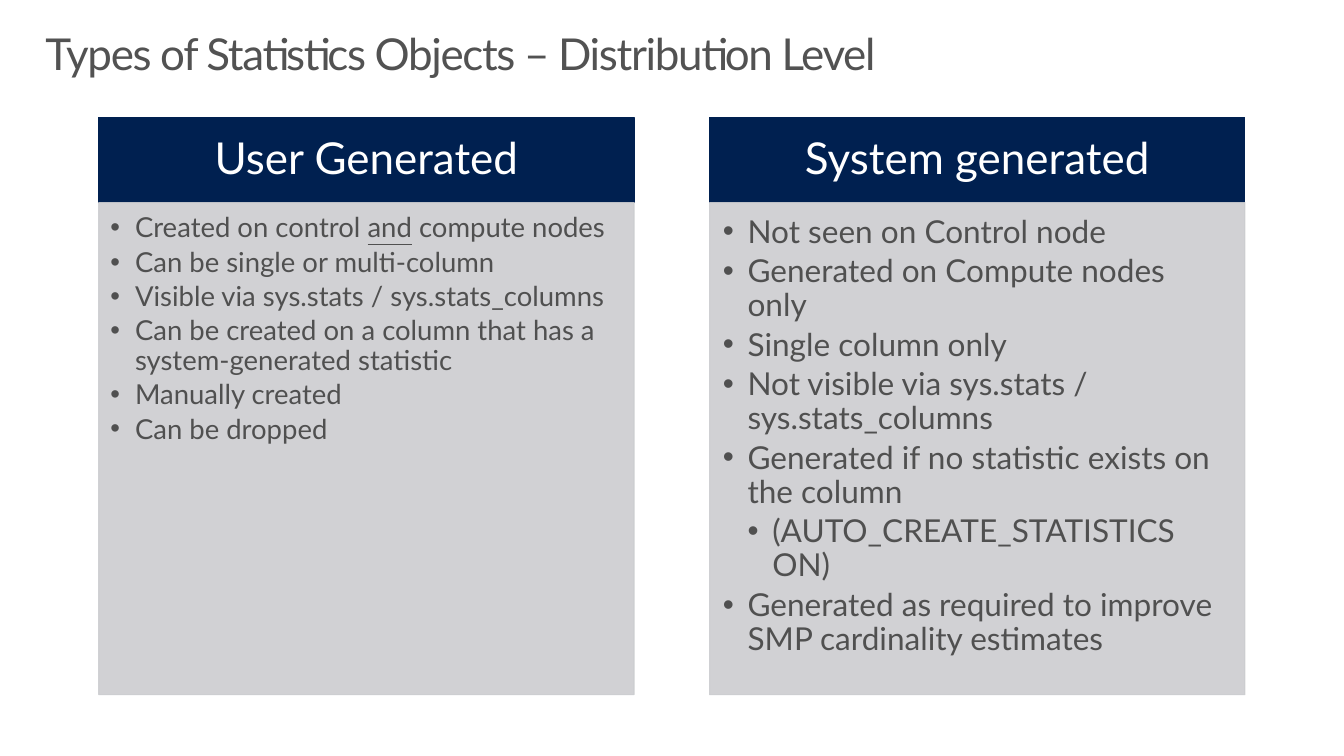
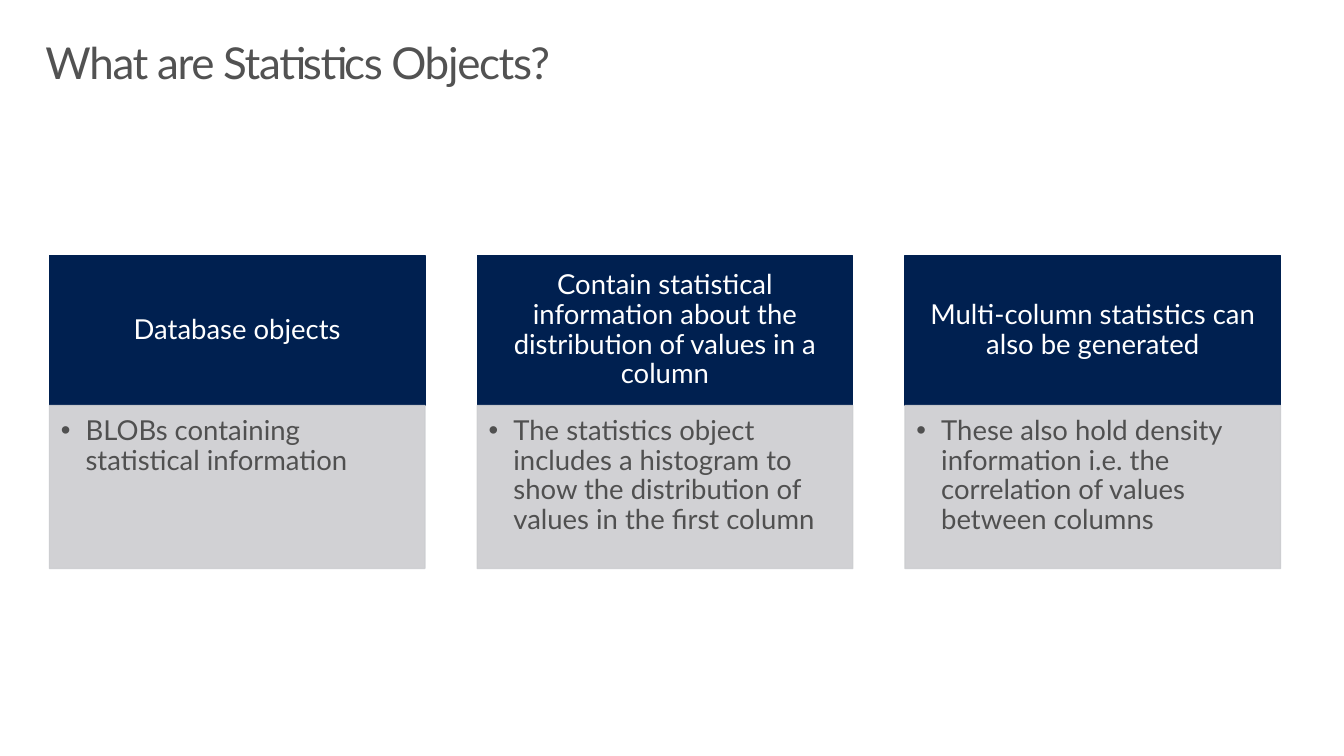
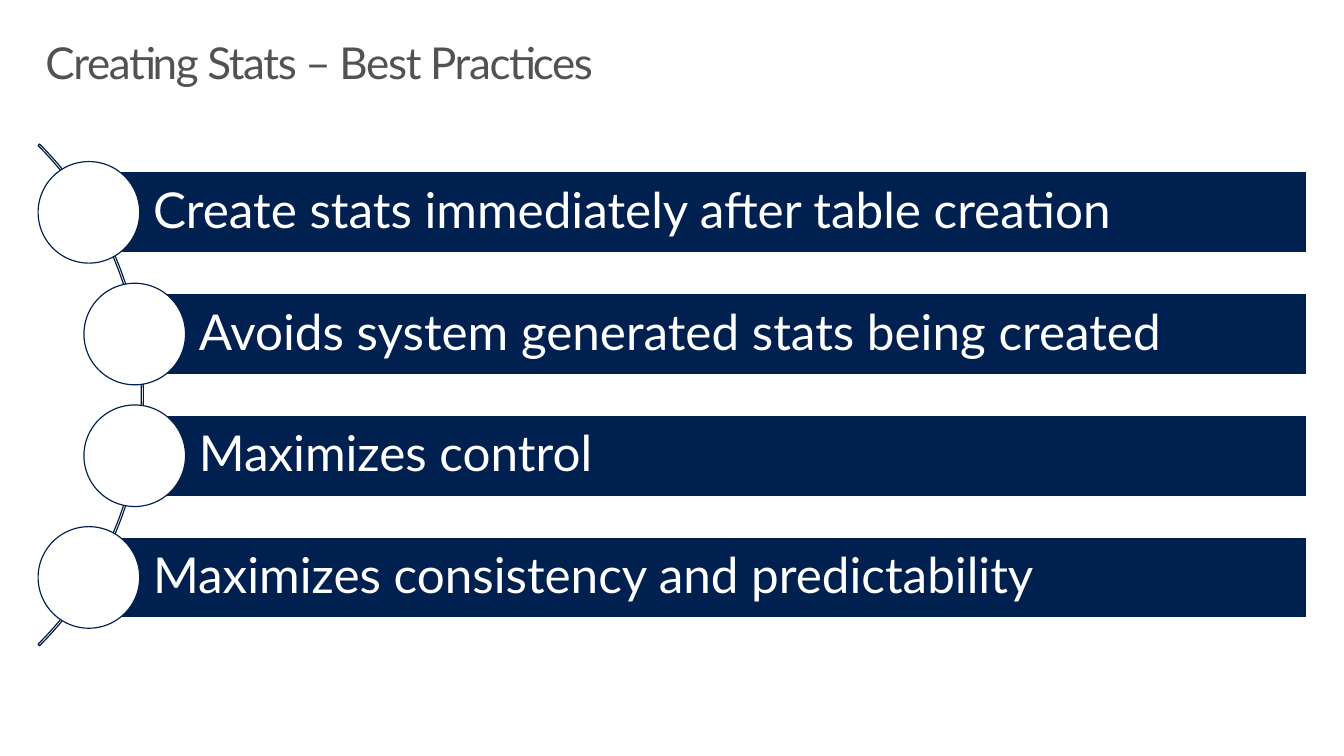
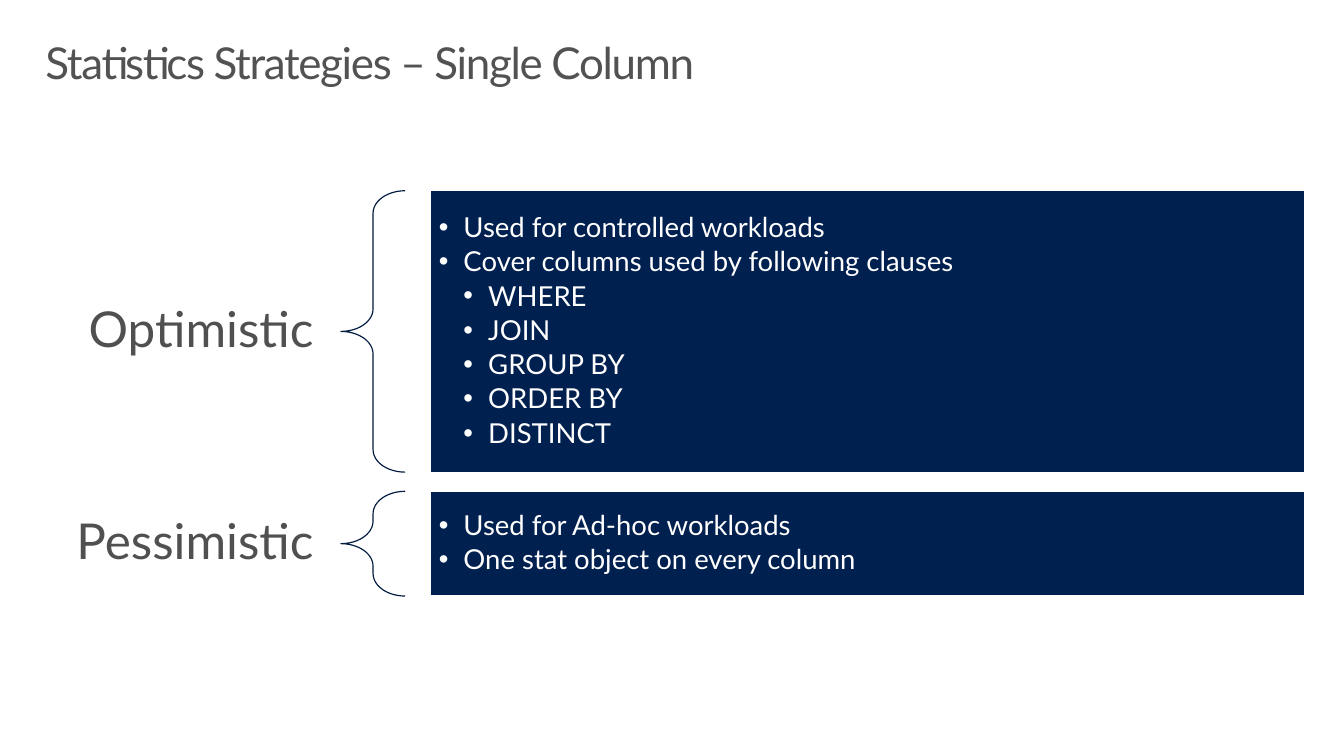
from math import sqrt

from lxml import etree
from pptx import Presentation
from pptx.dml.color import RGBColor
from pptx.enum.shapes import MSO_SHAPE
from pptx.enum.text import MSO_ANCHOR, PP_ALIGN
from pptx.oxml.ns import qn
from pptx.util import Pt

RECT, OVAL = MSO_SHAPE.RECTANGLE, MSO_SHAPE.OVAL
ARC, BRACE = MSO_SHAPE.BLOCK_ARC, MSO_SHAPE.LEFT_BRACE
TOP, MIDDLE = MSO_ANCHOR.TOP, MSO_ANCHOR.MIDDLE
LEFT, CENTER, RIGHT = PP_ALIGN.LEFT, PP_ALIGN.CENTER, PP_ALIGN.RIGHT

NAVY = RGBColor(0x00, 0x20, 0x50)
DARK = RGBColor(0x00, 0x1A, 0x40)
SILVER = RGBColor(0xCC, 0xCD, 0xD0)
WHITE = RGBColor(0xFF, 0xFF, 0xFF)
GRAY = RGBColor(0x50, 0x50, 0x50)
SLATE = RGBColor(0x52, 0x52, 0x52)

FONT = "Lato"
INDENT = 18


def add_shape(slide, kind, box, fill, line, adjust=(), alpha=None):
    shape = slide.shapes.add_shape(kind, *map(Pt, box))
    shape.shadow.inherit = False
    if fill is None:
        shape.fill.background()
    else:
        shape.fill.solid()
        shape.fill.fore_color.rgb = fill
    shape.line.color.rgb = line
    shape.line.width = Pt(0.85)
    for i, value in enumerate(adjust):
        shape.adjustments[i] = value
    if alpha:
        for color in list(shape._element.spPr.iter(qn("a:srgbClr"))):
            etree.SubElement(color, qn("a:alpha"), val=str(alpha * 1000))
    return shape


def set_frame(shape, anchor, insets):
    frame = shape.text_frame
    frame.word_wrap = True
    frame.vertical_anchor = anchor
    sides = ("left", "top", "right", "bottom")
    for side, inset in zip(sides, insets):
        setattr(frame, f"margin_{side}", Pt(inset))
    return frame


def write(para, text, size, color, align=LEFT, after=0):
    """Fill a paragraph; words between bars are underlined."""
    style = {"alignment": align, "line_spacing": 0.9, "space_after": Pt(after)}
    for key, value in style.items():
        setattr(para, key, value)
    for i, piece in enumerate(text.split("|")):
        run = para.add_run()
        run.text = piece
        look = {"name": FONT, "size": Pt(size)}
        if i % 2:
            look["underline"] = True
        for key, value in look.items():
            setattr(run.font, key, value)
        run.font.color.rgb = color


def write_list(frame, items, size, color):
    """Write bullets; an item is a text, or a list of texts one level down."""
    rows = []
    for item in items:
        if isinstance(item, str):
            rows.append((1, item))
        else:
            rows += [(2, text) for text in item]
    for i, (level, text) in enumerate(rows):
        para = frame.add_paragraph() if i else frame.paragraphs[0]
        props = para._p.get_or_add_pPr()
        props.set("marL", str(Pt(level * INDENT)))
        props.set("indent", str(-Pt(INDENT)))
        etree.SubElement(props, qn("a:buFont"), typeface="Arial")
        etree.SubElement(props, qn("a:buChar"), char="•")
        write(para, text, size, color, after=round(0.17 * size, 1))


def add_title(slide, text, top=23):
    box = slide.shapes.add_textbox(Pt(21.6), Pt(top), Pt(936), Pt(72))
    para = set_frame(box, TOP, (11.5, 7.2, 11.5, 7.2)).paragraphs[0]
    write(para, text, 32, SLATE)
    para.runs[0]._r.get_or_add_rPr().set("spc", "-100")


def add_card(slide, box, head_h, head_size, head, size, items):
    """Navy heading over a pale panel of bullets."""
    x, y, w, h = box
    top = add_shape(slide, RECT, (x, y, w, head_h), NAVY, NAVY)
    frame = set_frame(top, MIDDLE, (11.5, 6.5, 11.5, 6.5))
    write(frame.paragraphs[0], head, head_size, WHITE, CENTER)
    body = add_shape(slide, RECT, (x, y + head_h, w, h - head_h),
                     SILVER, SILVER, alpha=90)
    near, far = 0.42 * size, 0.58 * size
    write_list(set_frame(body, TOP, (near, near, far, far)), items, size, GRAY)


def add_cards(slide, box, gap, head_h, head_size, cards):
    x, y, w, h = box
    wide = (w - gap * (len(cards) - 1)) / len(cards)
    for i, card in enumerate(cards):
        place = (x + i * (wide + gap), y, wide, h)
        add_card(slide, place, head_h, head_size, *card)


def add_curve(slide, box, texts):
    """Bars whose left ends, marked by discs, follow an arc."""
    x, y, w, h = box
    ring, track, bar_h, disc = 517, 256, 59, 74
    mid_x, mid_y = x - 182, y + h / 2
    add_shape(slide, ARC, (mid_x - ring / 2, mid_y - ring / 2, ring, ring),
              None, DARK, (189, 27, 0.003))
    step = (h - bar_h) / (len(texts) - 1)
    for i, text in enumerate(texts):
        cy = y + bar_h / 2 + i * step
        cx = mid_x + sqrt(track ** 2 - (cy - mid_y) ** 2)
        bar = add_shape(slide, RECT, (cx, cy - bar_h / 2, x + w - cx, bar_h),
                        NAVY, WHITE)
        frame = set_frame(bar, MIDDLE, (46.8, 7.2, 7.2, 7.2))
        write(frame.paragraphs[0], text, 36, WHITE)
        add_shape(slide, OVAL, (cx - disc / 2, cy - disc / 2, disc, disc),
                  WHITE, NAVY)


def add_group(slide, box, label, items):
    """Label, brace and navy panel in one row."""
    x, y, w, h = box
    label_w, brace_w, gap = 234, 46.8, 18.7
    name = slide.shapes.add_textbox(Pt(x), Pt(y), Pt(label_w), Pt(h))
    frame = set_frame(name, MIDDLE, (20, 7.2, 20, 7.2))
    write(frame.paragraphs[0], label, 36, GRAY, RIGHT)
    add_shape(slide, BRACE, (x + label_w, y, brace_w, h), None, DARK,
              (0.35, 0.5))
    start = label_w + brace_w + gap
    panel = add_shape(slide, RECT, (x + start, y, w - start, h), NAVY, WHITE)
    write_list(set_frame(panel, MIDDLE, (5.8,) * 4), items, 20, WHITE)


def main():
    deck = Presentation()
    deck.slide_width, deck.slide_height = Pt(979.2), Pt(550.8)
    blank = deck.slide_layouts[6]

    slide = deck.slides.add_slide(blank)
    add_title(slide, "Types of Statistics Objects – Distribution Level", 16.5)
    add_cards(slide, (72, 85.6, 835, 420.5), 55, 62, 32, [
        ("User Generated", 20, [
            "Created on control |and| compute nodes",
            "Can be single or multi-column",
            "Visible via sys.stats / sys.stats_columns",
            "Can be created on a column that has a system-generated statistic",
            "Manually created",
            "Can be dropped"]),
        ("System generated", 23, [
            "Not seen on Control node",
            "Generated on Compute nodes only",
            "Single column only",
            "Not visible via sys.stats / sys.stats_columns",
            "Generated if no statistic exists on the column",
            ["(AUTO_CREATE_STATISTICS ON)"],
            "Generated as required to improve SMP cardinality estimates"])])

    slide = deck.slides.add_slide(blank)
    add_title(slide, "What are Statistics Objects?")
    add_cards(slide, (36, 186.2, 897, 228), 38, 109.2, 20, [
        ("Database objects", 20, ["BLOBs containing statistical information"]),
        ("Contain statistical information about the distribution of values "
         "in a column", 20,
         ["The statistics object includes a histogram to show the "
          "distribution of values in the first column"]),
        ("Multi-column statistics can also be generated", 20,
         ["These also hold density information i.e. the correlation of "
          "values between columns"])])

    slide = deck.slides.add_slide(blank)
    add_title(slide, "Creating Stats – Best Practices")
    add_curve(slide, (28, 125.2, 923.8, 325), [
        "Create stats immediately after table creation",
        "Avoids system generated stats being created",
        "Maximizes control",
        "Maximizes consistency and predictability"])

    slide = deck.slides.add_slide(blank)
    add_title(slide, "Statistics Strategies – Single Column")
    top = 139
    for high, label, items in [
            (205, "Optimistic", [
                "Used for controlled workloads",
                "Cover columns used by following clauses",
                ["WHERE", "JOIN", "GROUP BY", "ORDER BY", "DISTINCT"]]),
            (76.3, "Pessimistic", [
                "Used for Ad-hoc workloads",
                "One stat object on every column"])]:
        add_group(slide, (14.4, top, 936, high), label, items)
        top += high + 14

    deck.save("out.pptx")


if __name__ == "__main__":
    main()
